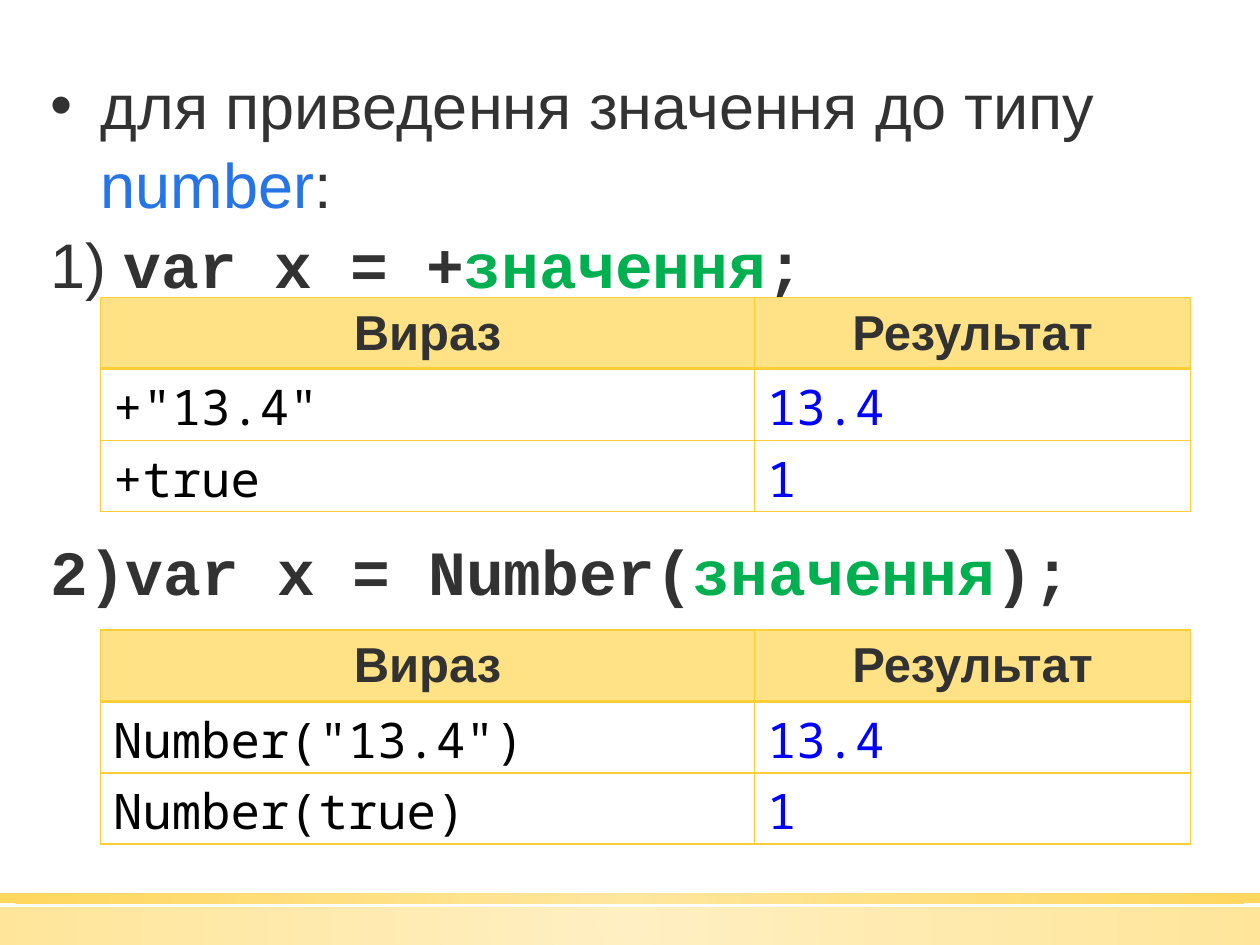
from dataclasses import dataclass

from lxml import etree
from pptx import Presentation
from pptx.dml.color import RGBColor as RGB
from pptx.enum.shapes import MSO_SHAPE as SHAPE
from pptx.enum.text import MSO_ANCHOR as ANCHOR, PP_ALIGN as ALIGN
from pptx.oxml import parse_xml
from pptx.oxml.ns import nsdecls, qn
from pptx.util import Pt


@dataclass(frozen=True)
class Theme:
    text: str = "323232"
    code: str = "000000"
    keyword: str = "2674E6"
    value: str = "00B050"
    result: str = "0000FF"
    pale: str = "FFE186"
    gold: str = "FFCD36"
    white: str = "FFFFFF"
    sans: str = "Arial"
    mono: str = "Courier New"
    cell_mono: str = "Noto Sans Mono"
    body: int = 36
    cell: int = 28


T = Theme()


def style(font, name, size, color, bold=False):
    font.name, font.size, font.bold = name, Pt(size), bold
    font.color.rgb = RGB.from_string(color)


def add_bar(slide, x, y, w, h, opacity):
    sp = slide.shapes.add_shape(SHAPE.RECTANGLE, Pt(x), Pt(y), Pt(w), Pt(h))
    sp.shadow.inherit = False
    sp.line.fill.background()
    sp.fill.background()
    stops = "".join(
        f'<a:gs pos="{pos}"><a:srgbClr val="{color}">'
        f'<a:alpha val="{opacity * 1000}"/></a:srgbClr></a:gs>'
        for pos, color in ((0, T.pale), (100000, T.gold)))
    gradient = parse_xml(
        f'<a:gradFill {nsdecls("a")} rotWithShape="1"><a:gsLst>{stops}</a:gsLst>'
        '<a:path path="circle"><a:fillToRect l="50000" t="50000" r="50000" '
        'b="50000"/></a:path></a:gradFill>')
    props = sp.element.spPr
    props.replace(props.find(qn("a:noFill")), gradient)


def add_footer(slide, x, y, w, h):
    add_bar(slide, x, y + h - 21.6, w, 21.6, 50)
    add_bar(slide, x, y, w, 5.76, 80)


def add_explanation(slide, x, y, w, h):
    tf = slide.shapes.add_textbox(Pt(x), Pt(y), Pt(w), Pt(h)).text_frame
    tf.word_wrap = True
    lines = [
        [("для приведення значення до типу ", T.sans, T.text),
         ("number", T.sans, T.keyword), (":", T.sans, T.text)],
        [("1) ", T.sans, T.text), ("var x = +", T.mono, T.text),
         ("значення", T.mono, T.value), (";", T.mono, T.text)],
        [("2)var x = Number(", T.mono, T.text),
         ("значення", T.mono, T.value), (");", T.mono, T.text)],
    ]
    for i, line in enumerate(lines):
        p = tf.paragraphs[0] if i == 0 else tf.add_paragraph()
        p.line_spacing = 1.05
        for text, font, color in line:
            r = p.add_run()
            r.text = text
            style(r.font, font, T.body, color, font == T.mono)
    p.space_before = Pt(130)
    props = tf.paragraphs[0]._p.get_or_add_pPr()
    props.set("marL", str(Pt(28.8)))
    props.set("indent", str(-Pt(28.8)))
    etree.SubElement(props, qn("a:buFont")).set("typeface", T.sans)
    etree.SubElement(props, qn("a:buChar")).set("char", "•")


def set_borders(cell, top, bottom):
    props = cell._tc.get_or_add_tcPr()
    for i, (side, width) in enumerate(
            (("L", 1), ("R", 1), ("T", top), ("B", bottom))):
        props.insert(i, parse_xml(
            f'<a:ln{side} {nsdecls("a")} w="{Pt(width)}"><a:solidFill>'
            f'<a:srgbClr val="{T.gold}"/></a:solidFill></a:ln{side}>'))


def add_results(slide, x, y, w, h, rows):
    rows = [("Вираз", "Результат"), *rows]
    table = slide.shapes.add_table(
        len(rows), 2, Pt(x), Pt(y), Pt(w), Pt(h)).table
    for column, share in zip(table.columns, (0.6, 0.4)):
        column.width = Pt(w * share)
    for i, row in enumerate(rows):
        table.rows[i].height = Pt(h / len(rows))
        header = i == 0
        for j, text in enumerate(row):
            cell = table.cell(i, j)
            cell.text = text
            cell.margin_top = cell.margin_bottom = 0
            cell.fill.solid()
            cell.fill.fore_color.rgb = RGB.from_string(T.pale if header else T.white)
            set_borders(cell, 2 if i == 1 else 1, 2 if header else 1)
            p = cell.text_frame.paragraphs[0]
            if header:
                cell.vertical_anchor = ANCHOR.MIDDLE
                p.alignment = ALIGN.CENTER
                style(p.font, T.sans, T.cell, T.text, True)
            else:
                p.line_spacing = 1.07
                style(p.font, T.cell_mono, T.cell, T.result if j else T.code)


def main():
    prs = Presentation()
    prs.slide_width, prs.slide_height = Pt(720), Pt(540)
    slide = prs.slides.add_slide(prs.slide_layouts[6])
    add_footer(slide, 0, 510.4, 720, 29.6)
    add_explanation(slide, 21.6, 32.4, 711.4, 312.5)
    add_results(slide, 57.5, 170, 622.8, 122.4,
                [('+"13.4"', "13.4"), ("+true", "1")])
    add_results(slide, 57.5, 360, 622.8, 122.4,
                [('Number("13.4")', "13.4"), ("Number(true)", "1")])
    prs.save("out.pptx")


if __name__ == "__main__":
    main()
